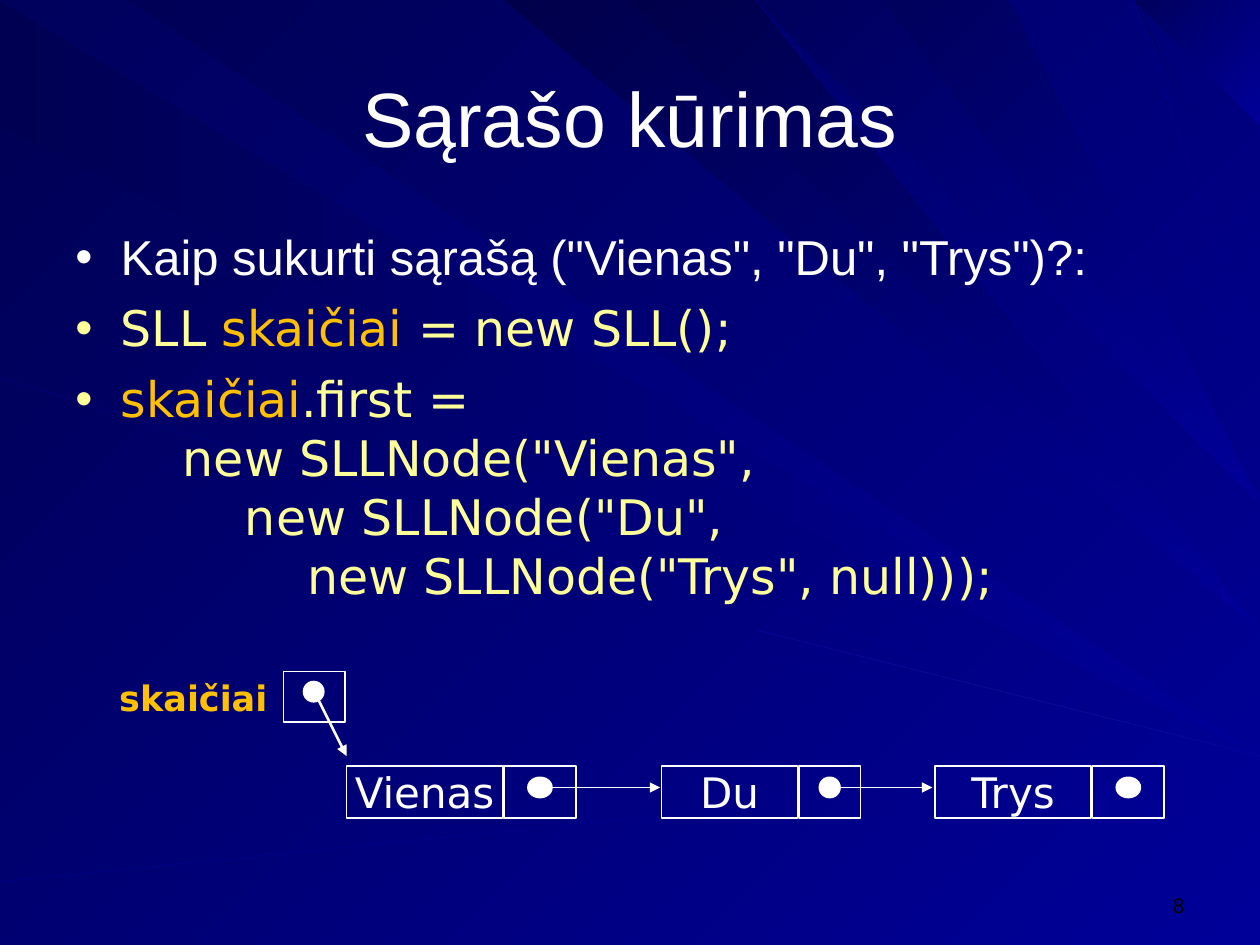
from lxml import etree
from pptx import Presentation
from pptx import util as u
from pptx.dml import color
from pptx.enum import shapes, text
from pptx.oxml import ns

COLORS = {
    "white": "FFFFFF", "black": "000000", "cream": "FFFF99", "amber": "FFC000",
    "royal": "000099", "haze": "1717A2", "glow": "08089C",
    "ink": "00004A", "night": "000053", "deep": "00005D",
    "dusk": "00006B", "navy": "000080",
}
SANS, CODE = "Arial", "DejaVu Sans"

RAYS = [
    ("left", 0.02, 0.93, 5.68, "night"),
    ("top", 0.26, 1.01, 5.62, "deep"),
    ("left", 5.96, 6.22, 6.3, "deep"),
    ("left", 6.65, 7.03, 6.47, "navy"),
    ("left", 7.34, 7.49, 6.62, "dusk"),
    ("left", 2.58, 2.7, 5.88, "night"),
    ("left", 1.59, 2.28, 5.83, "night"),
    ("top", 3.98, 4.16, 5.17, "dusk"),
    ("top", 4.26, 4.92, 4.92, "ink"),
    ("top", 5.4, 5.52, 4.62, "ink"),
    ("top", 6.06, 6.6, 4.45, "deep"),
    ("top", 8.87, 9.3, 2.1, "night"),
    ("top", 9.39, 9.64, 1.4, "deep"),
    ("left", 2.78, 3.42, 5.98, "deep"),
    ("left", 3.74, 4.37, 6.05, "deep"),
    ("left", 5.52, 5.6, 6.21, "navy"),
    ("top", 2.25, 2.47, 5.49, "ink"),
    ("top", 5.77, 5.88, 4.53, "navy"),
    ("top", 6.86, 7.7, 4.1, "deep"),
    ("top", 7.85, 7.92, 3.56, "deep"),
    ("top", 8.15, 8.24, 3.35, "dusk"),
    ("top", 8.65, 8.72, 2.52, "navy"),
    ("left", 2.83, 3.47, 6.02, "dusk"),
]

BULLETS = [
    ("white", SANS, [('Kaip sukurti sąrašą ("Vienas", "Du", "Trys")?:', "white")]),
    ("cream", CODE, [("SLL ", "cream"), ("skaičiai ", "amber"), ("= new SLL();", "cream")]),
    ("cream", CODE, [("skaičiai", "amber"), (
        '.first =\n    new SLLNode("Vienas",\n        new SLLNode("Du",\n'
        '            new SLLNode("Trys", null)));', "cream")]),
]


def rgb(name):
    """Return the named colour."""
    return color.RGBColor.from_string(COLORS[name])


def paint(fill, first, last=None, angle=0):
    """Fill solidly, or with a gradient turning clockwise by angle."""
    if last is None:
        fill.solid()
        fill.fore_color.rgb = rgb(first)
        return
    fill.gradient()
    fill.gradient_angle = 360 - angle
    for stop, name in zip(fill.gradient_stops, (first, last)):
        stop.color.rgb = rgb(name)


def add_run(p, words, size, font, name, bold=False):
    """Add text to a paragraph, breaking lines at newlines."""
    for i, line in enumerate(words.split("\n")):
        if i:
            p.add_line_break()
        r = p.add_run()
        r.text = line
        r.font.size, r.font.name, r.font.bold = u.Pt(size), font, bold
        r.font.color.rgb = rgb(name)


def add_text(s, box, words, size, font, name, align, bold=False):
    """Add a text box holding one run."""
    tf = s.shapes.add_textbox(*map(u.Inches, box)).text_frame
    tf.word_wrap = True
    tf.paragraphs[0].alignment = align
    add_run(tf.paragraphs[0], words, size, font, name, bold)
    return tf


def add_outline(s, kind, box, filled=False):
    """Add a white-edged shape, filled white on request."""
    sp = s.shapes.add_shape(kind, *map(u.Inches, box))
    sp.shadow.inherit = False
    sp.line.color.rgb, sp.line.width = rgb("white"), u.Pt(1)
    if filled:
        paint(sp.fill, "white")
    else:
        sp.fill.background()
    return sp


def add_arrow(s, start, end, width=1):
    """Draw a white line with an arrowhead at its end."""
    c = s.shapes.add_connector(shapes.MSO_CONNECTOR.STRAIGHT, *map(u.Inches, start + end))
    c.line.color.rgb, c.line.width = rgb("white"), u.Pt(width)
    etree.SubElement(c.line._get_or_add_ln(), ns.qn("a:tailEnd"), type="triangle")
    etree.SubElement(c._element.spPr, ns.qn("a:effectLst"))


def add_beam(s, points, first, last, angle):
    """Draw one borderless beam with a gradient."""
    fb = s.shapes.build_freeform(*points[0], scale=u.Inches(1))
    fb.add_line_segments(points[1:], close=True)
    sp = fb.convert_to_shape()
    sp.shadow.inherit = False
    sp.line.fill.background()
    paint(sp.fill, first, last, angle)


def add_background(s, right):
    """Paint the gradient and the rays that narrow towards the right edge."""
    paint(s.background.fill, "royal", "night", 225)
    for edge, start, end, tip, dark in RAYS:
        if edge == "top":
            add_beam(s, [(start, 0), (end, 0), (right, tip)], "royal", dark, 225)
        else:
            add_beam(s, [(0, start), (0, end), (right, tip)], "royal", dark, 180)
    add_beam(s, [(7.56, 7.01), (8, 7.36), (right, 6.93), (right, 6.72)], "glow", "royal", 180)
    add_beam(s, [(6.33, 5.11), (6.37, 4.85), (right, 6), (right, 6.05)], "haze", "royal", 180)


def add_title(s, box, words):
    """Place and format the title placeholder."""
    sp = s.shapes.title
    sp.left, sp.top, sp.width, sp.height = map(u.Inches, box)
    tf = sp.text_frame
    tf.auto_size, tf.vertical_anchor = text.MSO_AUTO_SIZE.NONE, text.MSO_ANCHOR.MIDDLE
    tf.paragraphs[0].alignment = text.PP_ALIGN.CENTER
    add_run(tf.paragraphs[0], words, 44, SANS, "white")


def add_bullets(s, box):
    """Write the question and its code as bullets."""
    tf = s.shapes.add_textbox(*map(u.Inches, box)).text_frame
    tf.word_wrap = True
    for i, (mark, font, runs) in enumerate(BULLETS):
        p = tf.add_paragraph() if i else tf.paragraphs[0]
        pPr = p._p.get_or_add_pPr()
        pPr.set("marL", str(u.Inches(0.36)))
        pPr.set("indent", str(u.Inches(-0.36)))
        tint = etree.SubElement(pPr, ns.qn("a:buClr"))
        etree.SubElement(tint, ns.qn("a:srgbClr"), val=COLORS[mark])
        etree.SubElement(pPr, ns.qn("a:buFont"), typeface=SANS)
        etree.SubElement(pPr, ns.qn("a:buChar"), char="•")
        if i:
            p.space_before = u.Pt(7)
        for words, name in runs:
            add_run(p, words, 28, font, name)


def add_node(s, box, label, link, target=None):
    """Draw a list node with a link cell, pointing at target."""
    left, top, width, height = box
    rect, oval = shapes.MSO_SHAPE.RECTANGLE, shapes.MSO_SHAPE.OVAL
    sp = add_outline(s, rect, (left, top, width - link - 0.01, height))
    tf = sp.text_frame
    tf.word_wrap, tf.vertical_anchor = False, text.MSO_ANCHOR.MIDDLE
    tf.paragraphs[0].alignment = text.PP_ALIGN.CENTER
    add_run(tf.paragraphs[0], label, 24, CODE, "white")
    add_outline(s, rect, (left + width - link, top, link, height))
    middle, dot = left + width - link / 2, link / 3
    add_outline(s, oval, (middle - dot / 2, top + 0.09, dot, 0.16), True)
    if target:
        add_arrow(s, (middle, top + 0.17), (target, top + 0.17))


def add_list_diagram(s, box):
    """Draw the list variable and its three linked nodes."""
    left, top, width, height = box
    add_text(s, (left, top, 1.57, 0.44), "skaičiai", 20, CODE, "amber", text.PP_ALIGN.CENTER, True)
    add_outline(s, shapes.MSO_SHAPE.RECTANGLE, (left + 1.5, top + 0.01, 0.49, 0.4))
    add_outline(s, shapes.MSO_SHAPE.OVAL, (left + 1.66, top + 0.09, 0.16, 0.16), True)
    row = top + height - 0.41
    add_arrow(s, (left + 1.75, top + 0.18), (left + 2, row - 0.08), 1.5)
    add_node(s, (left + 2, row, 1.82, 0.41), "Vienas", 0.57, left + 4.49)
    add_node(s, (left + 4.5, row, 1.58, 0.41), "Du", 0.49, left + 6.65)
    add_node(s, (left + width - 1.82, row, 1.82, 0.41), "Trys", 0.57)


def main():
    """Build and save the slide."""
    prs = Presentation()
    prs.slide_width, prs.slide_height = u.Inches(10), u.Inches(7.5)
    s = prs.slides.add_slide(prs.slide_layouts[5])
    add_background(s, 9.99)
    number = add_text(s, (7.17, 6.83, 2.33, 0.5), "8", 12, SANS, "black", text.PP_ALIGN.RIGHT)
    number.vertical_anchor = text.MSO_ANCHOR.BOTTOM
    add_title(s, (0.5, 0.3, 9, 1.25), "Sąrašo kūrimas")
    add_bullets(s, (0.5, 1.75, 9, 3.22))
    add_list_diagram(s, (0.75, 5.32, 8.49, 1.17))
    s.shapes._spTree.append(s.shapes.title._element)
    prs.save("out.pptx")


if __name__ == "__main__":
    main()
